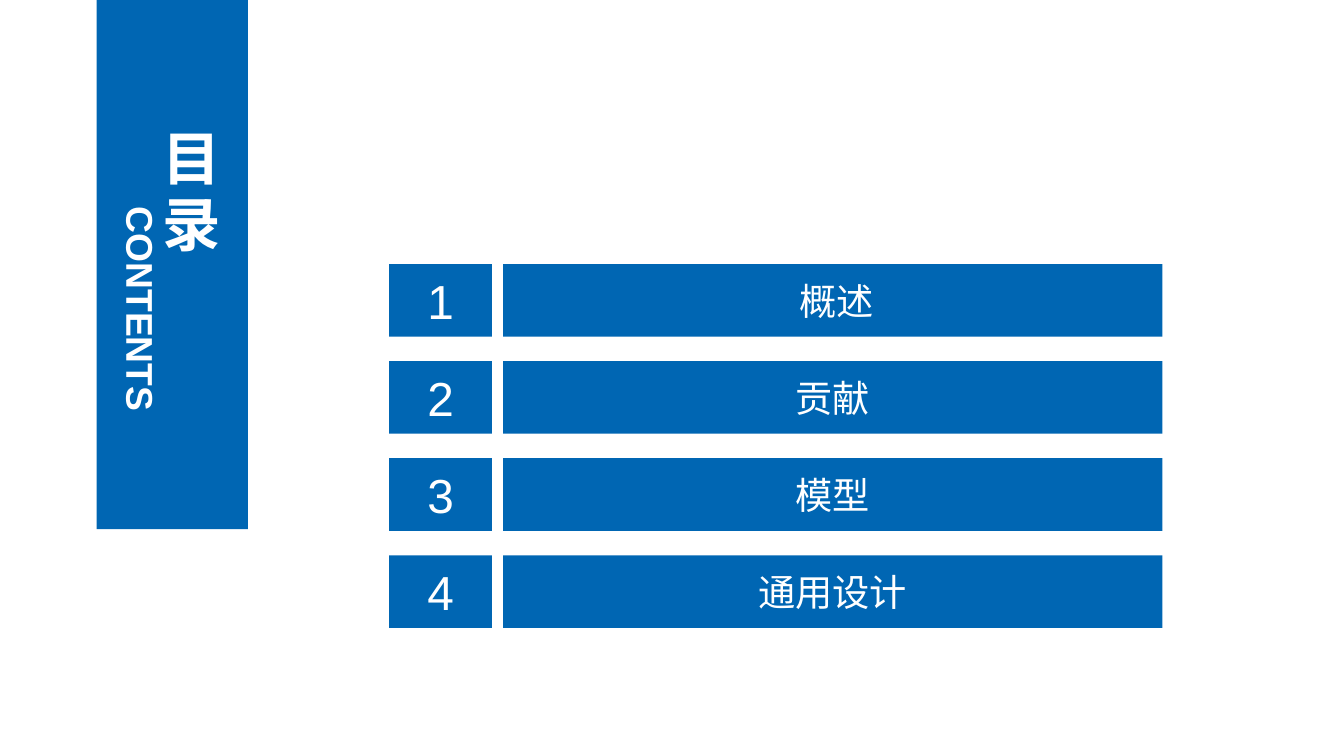
from dataclasses import dataclass

from pptx import Presentation
from pptx.dml.color import RGBColor
from pptx.enum.shapes import MSO_SHAPE as Preset
from pptx.enum.text import MSO_ANCHOR as Anchor, MSO_AUTO_SIZE as AutoSize, PP_ALIGN as Align
from pptx.shapes.autoshape import Shape
from pptx.slide import Slide
from pptx.text.text import TextFrame
from pptx.util import Inches, Pt

BLUE = "0066B3"
WHITE = "FFFFFF"
FONT = "Arial"
FIRST_TOP = 2.62
ROW_STEP = 0.963
ROW_HEIGHT = 0.72


@dataclass
class Box:
    left: float
    top: float
    width: float
    height: float

    def lengths(self) -> tuple:
        return tuple(Inches(v) for v in (self.left, self.top, self.width, self.height))


@dataclass
class Chapter:
    number: int
    name: str


CHAPTERS = [Chapter(1, " 概述"), Chapter(2, "贡献"), Chapter(3, "模型"), Chapter(4, "通用设计")]


def color(value: str) -> RGBColor:
    return RGBColor.from_string(value)


def write(frame: TextFrame, text: str, size: float, bold: bool = False) -> None:
    frame.text = text
    paragraph = frame.paragraphs[0]
    paragraph.alignment = Align.CENTER
    font = paragraph.runs[0].font
    font.name = FONT
    font.size = Pt(size)
    font.bold = bold
    font.color.rgb = color(WHITE)


def add_block(slide: Slide, box: Box) -> Shape:
    block = slide.shapes.add_shape(Preset.RECTANGLE, *box.lengths())
    block.shadow.inherit = False
    block.fill.solid()
    block.fill.fore_color.rgb = color(BLUE)
    block.line.fill.background()
    return block


def add_chapter(slide: Slide, chapter: Chapter, top: float) -> None:
    number = add_block(slide, Box(3.86, top, 1.02, ROW_HEIGHT))
    write(number.text_frame, str(chapter.number), 34.1)
    name = add_block(slide, Box(4.99, top, 6.54, ROW_HEIGHT))
    write(name.text_frame, chapter.name, 26.6)


def write_vertical(frame: TextFrame, text: str, size: float) -> None:
    write(frame, text, size, bold=True)
    frame.paragraphs[0].line_spacing = 1.2
    frame.word_wrap = True
    frame.auto_size = AutoSize.SHAPE_TO_FIT_TEXT
    frame.vertical_anchor = Anchor.TOP
    frame._txBody.bodyPr.set("vert", "eaVert")


def add_heading(slide: Slide) -> None:
    add_block(slide, Box(0.96, 0, 1.5, 5.25))

    title = slide.shapes.title
    title.left, title.top, title.width, title.height = Box(1.43, 1.23, 1.04, 2.45).lengths()
    write_vertical(title.text_frame, "目录", 41.7)
    title.text_frame.paragraphs[0].runs[0].font._element.set("spc", "570")
    slide.shapes._spTree.append(title._element)

    contents = slide.shapes.add_textbox(*Box(1.02, 1.95, 0.74, 2.67).lengths())
    write_vertical(contents.text_frame, "CONTENTS", 26.6)


def main() -> None:
    deck = Presentation()
    deck.slide_width, deck.slide_height = Inches(13.33), Inches(7.5)
    slide = deck.slides.add_slide(deck.slide_layouts[5])
    add_heading(slide)
    for row, chapter in enumerate(CHAPTERS):
        add_chapter(slide, chapter, FIRST_TOP + row * ROW_STEP)
    deck.save("out.pptx")


if __name__ == "__main__":
    main()
